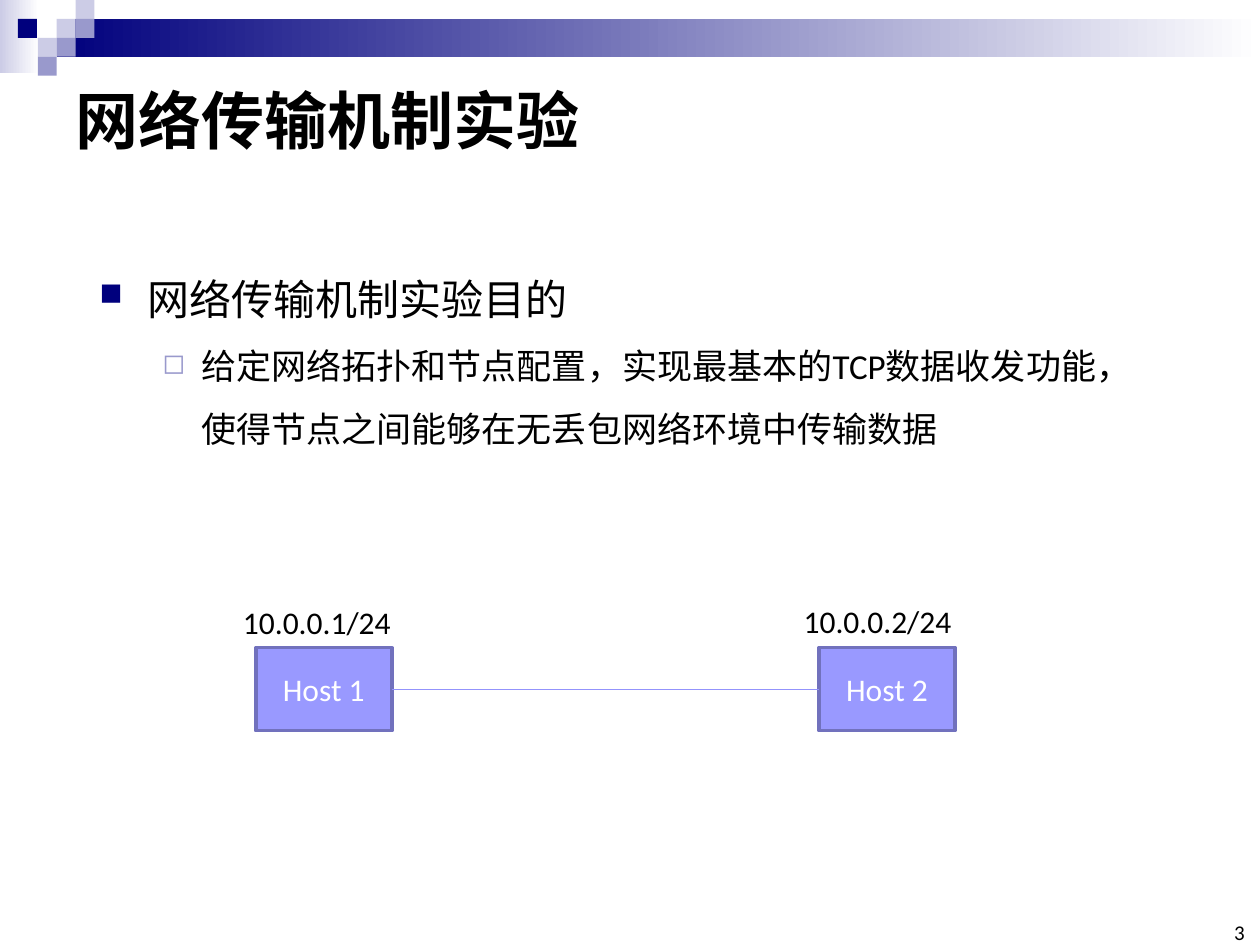
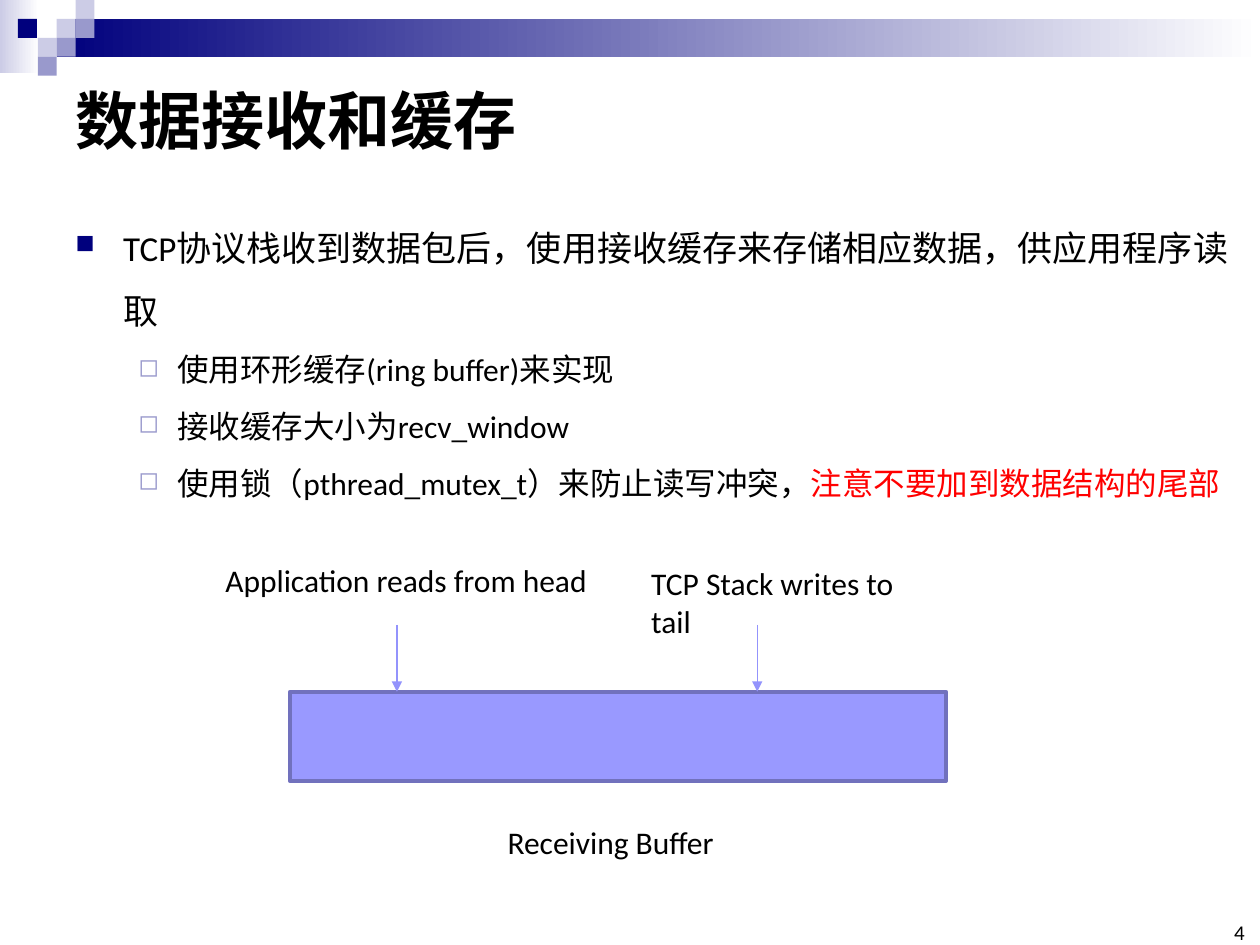
from lxml.etree import SubElement
from pptx import Presentation
from pptx.dml.color import RGBColor
from pptx.enum.shapes import MSO_CONNECTOR as Connector, MSO_SHAPE as Preset
from pptx.enum.text import MSO_ANCHOR as Anchor, MSO_AUTO_SIZE as AutoSize, PP_ALIGN as Align
from pptx.oxml.ns import qn
from pptx.util import Inches, Pt

COLORS = {
    "navy": "00007D", "pale": "CCCCE6", "mid": "9999CC", "white": "FFFFFF",
    "black": "000000", "red": "FF0000", "box": "9999FF", "edge": "7171BD",
    "link": "9393FC",
}
FONT = "Calibri"
COLUMNS, ROWS = 100, 75
TILE = 1.5
MOSAIC = [
    (3, 0, None), (3, 1, "pale"), (4, 0, "pale"), (4, 1, "mid"), (2, 2, "pale"),
    (0.95, 1, "navy"), (3, 2, "mid"), (2, 3, "mid"),
][1:]
BULLETS = [
    {"char": "■", "color": "navy", "percent": 75, "margin": 0.38, "hanging": 0.38},
    {"char": "◻", "color": "mid", "percent": 80, "margin": 0.81, "hanging": 0.31},
]


def rgb(name):
    return RGBColor.from_string(COLORS[name])


class Deck:
    def __init__(self):
        self.presentation = Presentation()
        self.presentation.slide_width = Inches(10)
        self.presentation.slide_height = Inches(7.5)
        self.column = self.presentation.slide_width / COLUMNS
        self.row = self.presentation.slide_height / ROWS
        self.slide = None

    def place(self, left, top, width, height):
        return (round(left * self.column), round(top * self.row),
                round(width * self.column), round(height * self.row))

    def start(self, title, number):
        self.slide = self.presentation.slides.add_slide(self.presentation.slide_layouts[6])
        self.gradient(0, 0, 3.1, 5.8, "pale")
        self.gradient(4.5, TILE, 95.5, 3, "navy")
        for column, row, color in MOSAIC:
            self.rectangle(column * TILE, row * TILE, TILE, TILE, color)
        frame = self.text_frame(5, 5, 90, 8.9, Anchor.MIDDLE)
        self.run(frame.paragraphs[0], title, 36, bold=True)
        frame = self.text_frame(96.5, 73.3, 2.3, 1.7, Anchor.BOTTOM)
        frame.margin_left = frame.margin_right = frame.margin_top = frame.margin_bottom = 0
        frame.paragraphs[0].alignment = Align.RIGHT
        self.run(frame.paragraphs[0], number, 12)

    def rectangle(self, left, top, width, height, color, edge=None):
        shape = self.slide.shapes.add_shape(Preset.RECTANGLE, *self.place(left, top, width, height))
        shape.shadow.inherit = False
        shape.fill.solid()
        shape.fill.fore_color.rgb = rgb(color)
        if edge:
            shape.line.color.rgb = rgb(edge)
            shape.line.width = Pt(2)
        else:
            shape.line.fill.background()
        return shape

    def gradient(self, left, top, width, height, color):
        fill = self.rectangle(left, top, width, height, color).fill
        fill.gradient()
        fill.gradient_angle = 0
        for stop, position, name in zip(fill.gradient_stops, (0, 1), (color, "white")):
            stop.position = position
            stop.color.rgb = rgb(name)

    def box(self, left, top, width, height, caption=None):
        shape = self.rectangle(left, top, width, height, "box", "edge")
        if caption:
            frame = shape.text_frame
            frame.vertical_anchor = Anchor.MIDDLE
            frame.paragraphs[0].alignment = Align.CENTER
            self.run(frame.paragraphs[0], caption, 18, "white")
        return shape

    def text_frame(self, left, top, width, height, anchor=Anchor.TOP):
        frame = self.slide.shapes.add_textbox(*self.place(left, top, width, height)).text_frame
        frame.word_wrap = True
        frame.vertical_anchor = anchor
        return frame

    def run(self, paragraph, text, size, color="black", bold=False):
        run = paragraph.add_run()
        run.text = text
        run.font.name = FONT
        run.font.size = Pt(size)
        run.font.bold = bold
        run.font.color.rgb = rgb(color)

    def label(self, left, top, width, text):
        frame = self.text_frame(left, top, width, 4)
        frame.word_wrap = False
        frame.auto_size = AutoSize.SHAPE_TO_FIT_TEXT
        self.run(frame.paragraphs[0], text, 18)

    def bullets(self, left, top, width, height, sizes, items):
        frame = self.text_frame(left, top, width, height)
        for index, (level, runs) in enumerate(items):
            paragraph = frame.add_paragraph() if index else frame.paragraphs[0]
            paragraph.level = level
            paragraph.line_spacing = 1.5
            self.bullet(paragraph, BULLETS[level])
            for text, color in runs:
                self.run(paragraph, text, sizes[level], color)

    def bullet(self, paragraph, style):
        properties = paragraph._p.get_or_add_pPr()
        properties.set("marL", str(Inches(style["margin"])))
        properties.set("indent", str(-Inches(style["hanging"])))
        color = SubElement(properties, qn("a:buClr"))
        SubElement(color, qn("a:srgbClr"), val=COLORS[style["color"]])
        SubElement(properties, qn("a:buSzPct"), val=str(style["percent"] * 1000))
        SubElement(properties, qn("a:buChar"), char=style["char"])

    def connector(self, left, top, right, bottom, arrow=False):
        ends = self.place(left, top, right, bottom)
        connector = self.slide.shapes.add_connector(Connector.STRAIGHT, *ends)
        connector.line.color.rgb = rgb("link")
        connector.line.width = Pt(0.75)
        properties = connector._element.spPr
        if arrow:
            SubElement(properties.find(qn("a:ln")), qn("a:tailEnd"), type="triangle")
        SubElement(properties, qn("a:effectLst"))
        return connector

    def join(self, first, second):
        connector = self.connector(0, 0, 1, 1)
        connector.begin_connect(first, 3)
        connector.end_connect(second, 1)


def experiment_slide(deck):
    deck.start("网络传输机制实验", "3")
    deck.bullets(6.9, 19.2, 86.2, 19.4, (24, 20), [
        (0, [("网络传输机制实验目的", "black")]),
        (1, [("给定网络拓扑和节点配置，实现最基本的TCP数据收发功能，"
              "使得节点之间能够在无丢包网络环境中传输数据", "black")]),
    ])
    hosts = [deck.box(left, 51.4, 10.8, 6.6, caption)
             for left, caption in ((20.3, "Host 1"), (65, "Host 2"))]
    deck.label(18.3, 47.4, 13.9, "10.0.0.1/24")
    deck.label(62.8, 47.3, 13.9, "10.0.0.2/24")
    deck.join(*hosts)


def buffer_slide(deck):
    deck.start("数据接收和缓存", "4")
    deck.bullets(5, 15.8, 95, 55.1, (20, 18), [
        (0, [("TCP协议栈收到数据包后，使用接收缓存来存储相应数据，供应用程序读取", "black")]),
        (1, [("使用环形缓存(ring buffer)来实现", "black")]),
        (1, [("接收缓存大小为recv_window", "black")]),
        (1, [("使用锁（pthread_mutex_t）来防止读写冲突，", "black"),
             ("注意不要加到数据结构的尾部", "red")]),
    ])
    buffer_top = 54.9
    deck.box(23, buffer_top, 52.1, 7.1)
    deck.label(39.3, 64.8, 18.6, "Receiving Buffer")
    for column in (31.5, 60.1):
        deck.connector(column, 49.6, column, buffer_top, arrow=True)
    deck.label(16.9, 44, 30.7, "Application reads from head")
    deck.label(50.7, 44.3, 24.9, "TCP Stack writes to tail")


def main():
    deck = Deck()
    experiment_slide(deck)
    buffer_slide(deck)
    deck.presentation.save("out.pptx")


if __name__ == "__main__":
    main()
